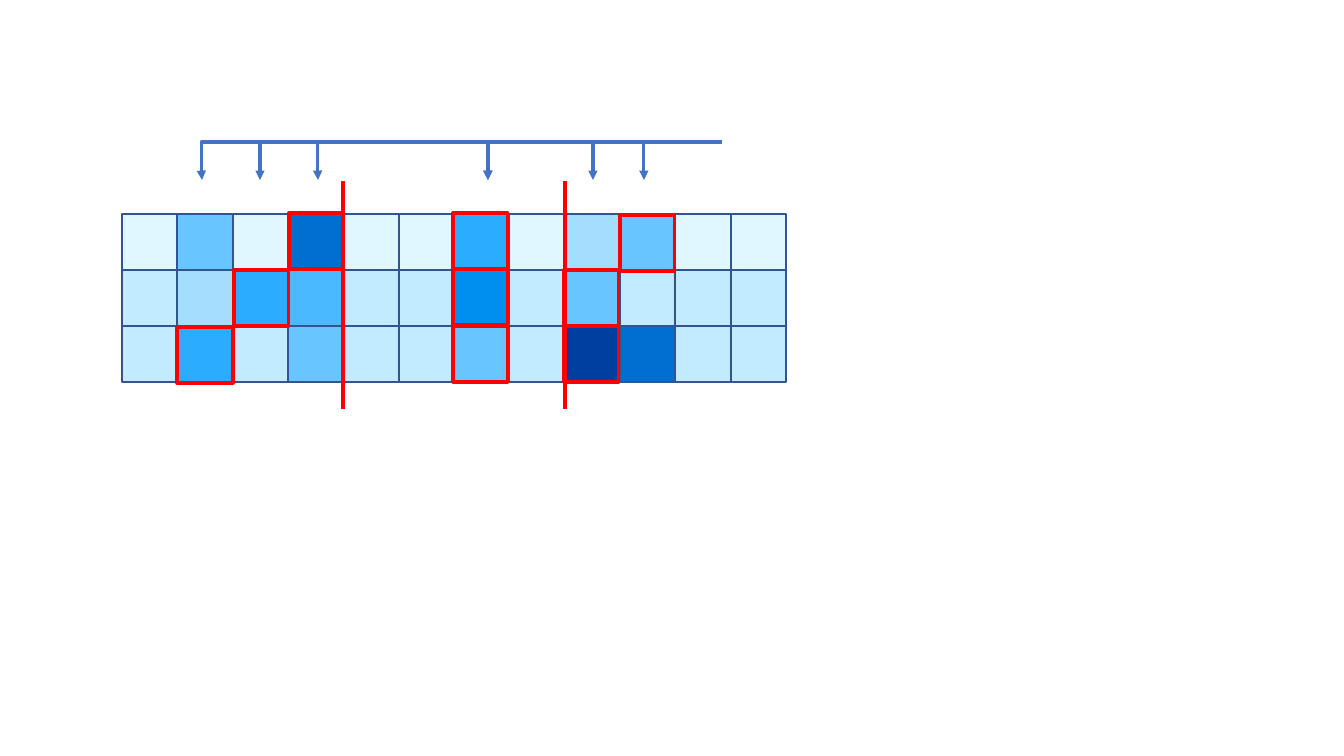
from pptx import Presentation
from pptx import util as u
from pptx.dml.color import RGBColor
from pptx.enum import shapes
from pptx.oxml import parse_xml
from pptx.oxml.ns import nsdecls, qn

HUES = {"a": "E0F7FF", "b": "C2EBFF", "c": "A4DEFF", "d": "68C5FF",
        "e": "4AB9FF", "f": "2CACFF", "g": "008FEF", "h": "006FCF",
        "i": "003F9F", "edge": "325491", "red": "FF0000", "blue": "4472C4"}
ROWS = ["adahaafacdaa", "bcfebbgbdbbb", "bfbdbbdbihbb"]
FRAMES = [(2, 8, -1, 0), (1, 8, -1, 0), (0, 9, 0, 1),
          (0, 6, -1, -1), (1, 6, -1, -1), (2, 6, -1, 0),
          (0, 3, 1, -1), (1, 2, 1, 0), (2, 1, 0, 1)]
SPLITS = [4, 8]
BENDS = [(522, 202), (482, 318), (644, 488), (722, 644)]
DROPS = [488, 593, 260]
LEFT, TOP, SPAN, HIGH = 122, 214, 664, 56
RAIL, TIP = 142, 180
RED = {"hue": "red", "width": 2.25}
BLUE = {"hue": "blue", "width": 2.25}
EDGE = {"hue": "edge", "width": 1}
SCALE = 914400 / 100.8


def px(n):
    return u.Emu(round(n * SCALE))


def left(col):
    return LEFT + round(SPAN * col / len(ROWS[0]))


def style(line, look):
    line.color.rgb = RGBColor.from_string(HUES[look["hue"]])
    line.width = u.Pt(look["width"])


def box(row, col, look, fill=None, dx=0, dy=0):
    x = left(col)
    part = slide.shapes.add_shape(
        shapes.MSO_SHAPE.RECTANGLE, px(x + dx), px(TOP + row * HIGH + dy),
        px(left(col + 1) - x), px(HIGH))
    part.shadow.inherit = False
    if fill:
        part.fill.solid()
        part.fill.fore_color.rgb = RGBColor.from_string(HUES[fill])
    else:
        part.fill.background()
    style(part.line, look)


def link(start, end, look, bent=False, head=False):
    kind = shapes.MSO_CONNECTOR.ELBOW if bent else shapes.MSO_CONNECTOR.STRAIGHT
    line = slide.shapes.add_connector(kind, *map(px, start + end))
    style(line.line, look)
    props = line._element.spPr
    if head:
        props.find(qn("a:ln")).append(
            parse_xml(f'<a:tailEnd {nsdecls("a")} type="triangle"/>'))
    if bent:
        turn = props.find(qn("a:xfrm"))
        turn.attrib.pop("flipH", None)
        for key, val in {"rot": "10800000", "flipV": "1"}.items():
            turn.set(key, val)
        props.find(qn("a:prstGeom")).find(qn("a:avLst")).append(
            parse_xml(f'<a:gd {nsdecls("a")} name="adj1" fmla="val 100200"/>'))
    props.append(parse_xml(f'<a:effectLst {nsdecls("a")}/>'))


deck = Presentation()
deck.slide_width, deck.slide_height = px(1344), px(756)
slide = deck.slides.add_slide(deck.slide_layouts[6])

for row, tones in enumerate(ROWS):
    for col, tone in enumerate(tones):
        box(row, col, EDGE, tone)
for col in SPLITS:
    link((left(col), 181), (left(col), 409), RED)
for start, end in BENDS:
    link((start, RAIL), (end, TIP), BLUE, bent=True, head=True)
for x in DROPS:
    link((x, RAIL), (x, TIP), BLUE, head=True)
for row, col, dx, dy in FRAMES:
    box(row, col, RED, dx=dx, dy=dy)

deck.save("out.pptx")
